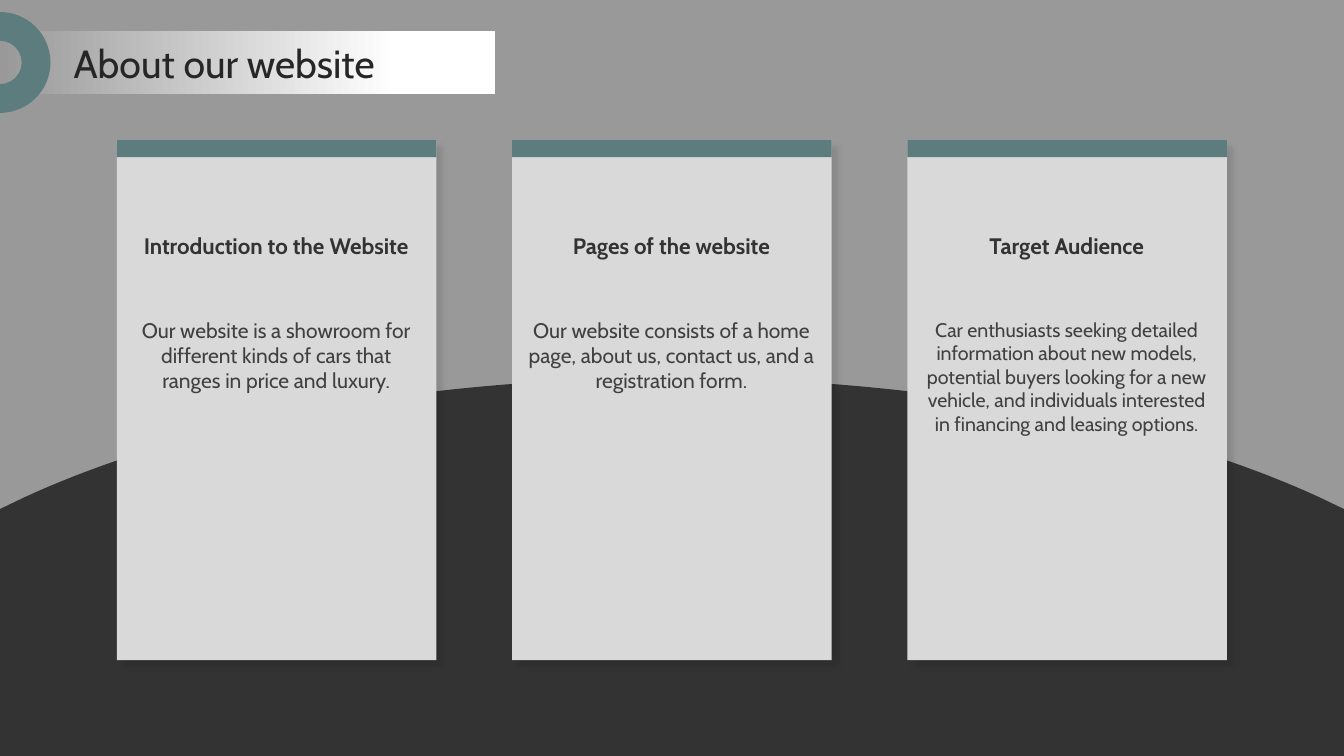
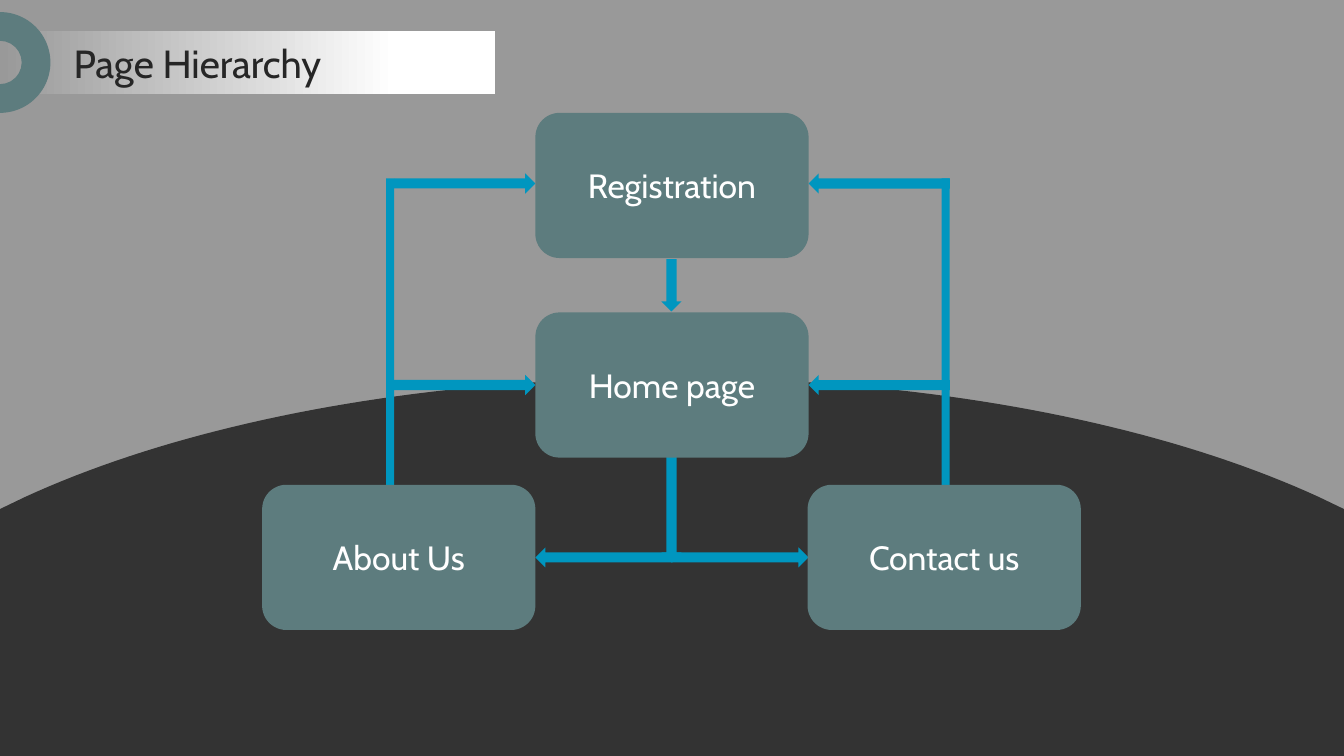
from lxml.etree import SubElement
from pptx import Presentation
from pptx.dml.color import RGBColor
from pptx.enum.shapes import MSO_SHAPE
from pptx.enum.text import MSO_ANCHOR, PP_ALIGN
from pptx.oxml.ns import qn
from pptx.util import Inches, Pt

COLORS = {
    "background": "999999", "hill": "333333", "teal": "5D7C7E",
    "card": "D9D9D9", "heading": "333333", "body": "404040",
    "title": "262626", "white": "FFFFFF", "arrow": "0096BF", "shadow": "000000",
}
FONT = "Cabin"
TITLES = ["About our website", "Page Hierarchy"]


def add_block(page, kind, left, top, width, height, color, rotation=0):
    block = page.shapes.add_shape(
        kind, Inches(left), Inches(top), Inches(width), Inches(height))
    block.shadow.inherit = False
    block.fill.solid()
    block.fill.fore_color.rgb = RGBColor.from_string(COLORS[color])
    block.line.fill.background()
    block.rotation = rotation
    return block


def write(box, text, size, color, bold=False, align=PP_ALIGN.CENTER,
          anchor=MSO_ANCHOR.MIDDLE, margin=0.0):
    """Put one formatted paragraph into a box; the margin goes on all sides."""
    frame = box.text_frame
    settings = {"word_wrap": True, "vertical_anchor": anchor}
    for side in ("left", "right", "top", "bottom"):
        settings[f"margin_{side}"] = Inches(margin)
    for name, value in settings.items():
        setattr(frame, name, value)
    paragraph = frame.paragraphs[0]
    paragraph.alignment = align
    span = paragraph.add_run()
    span.text = text
    for name, value in {"name": FONT, "size": Pt(size), "bold": bold}.items():
        setattr(span.font, name, value)
    span.font.color.rgb = RGBColor.from_string(COLORS[color])


deck = Presentation()
deck.slide_width, deck.slide_height = Inches(13.33), Inches(7.5)

# Hill outline: a Bezier curve from the crest down to the right, then mirrored
crest = [(6.67, 3.75), (9.21, 3.75), (11.49, 4.2), (13.08, 4.93)]
STEPS = 40
right_side = []
for step in range(STEPS + 1):
    t = step / STEPS
    weights = [(1 - t) ** 3, 3 * t * (1 - t) ** 2, 3 * t * t * (1 - t), t ** 3]
    right_side.append([sum(w * point[axis] for w, point in zip(weights, crest))
                       for axis in (0, 1)])
right_side += [(13.33, 5.05), (13.33, 7.5)]
left_side = [(13.33 - x, y) for x, y in reversed(right_side)]
outline = [(Inches(x), Inches(y)) for x, y in right_side + left_side]

# Background, hill and title band on both slides
pages = []
for title in TITLES:
    page = deck.slides.add_slide(deck.slide_layouts[6])
    pages.append(page)
    page.background.fill.solid()
    page.background.fill.fore_color.rgb = RGBColor.from_string(COLORS["background"])

    builder = page.shapes.build_freeform(*outline[0])
    builder.add_line_segments(outline[1:], close=True)
    hill = builder.convert_to_shape()
    hill.shadow.inherit = False
    hill.fill.solid()
    hill.fill.fore_color.rgb = RGBColor.from_string(COLORS["hill"])
    hill.line.fill.background()

    band = add_block(page, MSO_SHAPE.RECTANGLE, 0, 0.31, 4.91, 0.62, "white")
    band.fill.gradient()
    band.fill.gradient_angle = 0
    stops = [("background", 0), ("white", 0.8)]
    for stop, (color, position) in zip(band.fill.gradient_stops, stops):
        stop.color.rgb = RGBColor.from_string(COLORS[color])
        stop.position = position

    box = page.shapes.add_textbox(Inches(0.73), Inches(0.37), Inches(11.88), Inches(0.51))
    write(box, title, 28, "title", align=PP_ALIGN.LEFT)
    ring = add_block(page, MSO_SHAPE.BLOCK_ARC, -0.5, 0.12, 1, 1, "teal", rotation=90)
    ring.adjustments[2] = 0.285

about_page, hierarchy_page = pages

# Slide 1: three cards
CARD_LEFT, CARD_TOP, CARD_WIDTH, CARD_STEP = 1.16, 1.39, 3.17, 3.92
cards = [
    ("Introduction to the Website", 15,
     "Our website is a showroom for different kinds of cars that ranges in "
     "price and luxury."),
    ("Pages of the website", 15,
     "Our website consists of a home page, about us, contact us, and a "
     "registration form."),
    ("Target Audience", 14,
     "Car enthusiasts seeking detailed information about new models, potential "
     "buyers looking for a new vehicle, and individuals interested in financing "
     "and leasing options."),
]
for index, (heading, body_size, body) in enumerate(cards):
    left = CARD_LEFT + index * CARD_STEP
    card = add_block(about_page, MSO_SHAPE.RECTANGLE, left, CARD_TOP, CARD_WIDTH, 5.16, "card")
    effects = card._element.spPr.find(qn("a:effectLst"))
    shadow = SubElement(effects, qn("a:outerShdw"), blurRad=str(Pt(4)), dist=str(Pt(6)),
                        dir=str(45 * 60000), algn="tl", rotWithShape="0")
    shade = SubElement(shadow, qn("a:srgbClr"), val=COLORS["shadow"])
    SubElement(shade, qn("a:alpha"), val="10000")
    add_block(about_page, MSO_SHAPE.RECTANGLE, left, CARD_TOP, CARD_WIDTH, 0.17, "teal")

    texts = [
        (heading, 2.04, 0.79, 16, "heading", True, MSO_ANCHOR.MIDDLE),
        (body, 3.07, 3.21, body_size, "body", False, MSO_ANCHOR.TOP),
    ]
    for text, top, height, size, color, bold, anchor in texts:
        box = about_page.shapes.add_textbox(
            Inches(left + 0.05), Inches(top), Inches(3.06), Inches(height))
        box.text_frame.word_wrap = True
        write(box, text, size, color, bold, anchor=anchor, margin=0.05 if bold else 0.08)

# Slide 2: arrows first, so that the page boxes cover their ends
BOX_WIDTH, BOX_HEIGHT = 2.71, 1.44
ARROW_HEIGHT, BAR_WIDTH = 0.2, 0.08
arrows = [  # left, top, length, rotation
    (6.4, 2.73, 0.52, 90), (6.06, 4.88, 1.2, 90),
    (5.31, 5.43, 1.36, 180), (6.66, 5.43, 1.36, 0),
]
for top in (1.72, 3.72):
    arrows += [(3.91, top, 1.4, 0), (8.02, top, 1.4, 180)]
for left, top, length, rotation in arrows:
    add_block(hierarchy_page, MSO_SHAPE.RIGHT_ARROW, left, top, length, ARROW_HEIGHT,
              "arrow", rotation)
for left in (3.83, 9.34):
    add_block(hierarchy_page, MSO_SHAPE.RECTANGLE, left, 1.77, BAR_WIDTH, 3.04, "arrow")

page_boxes = [
    ("Registration", 5.31, 1.12), ("Home page", 5.31, 3.1),
    ("About Us", 2.6, 4.81), ("Contact us", 8.01, 4.81),
]
for name, left, top in page_boxes:
    box = add_block(hierarchy_page, MSO_SHAPE.ROUNDED_RECTANGLE, left, top,
                    BOX_WIDTH, BOX_HEIGHT, "teal")
    write(box, name, 24, "white")

deck.save("out.pptx")
